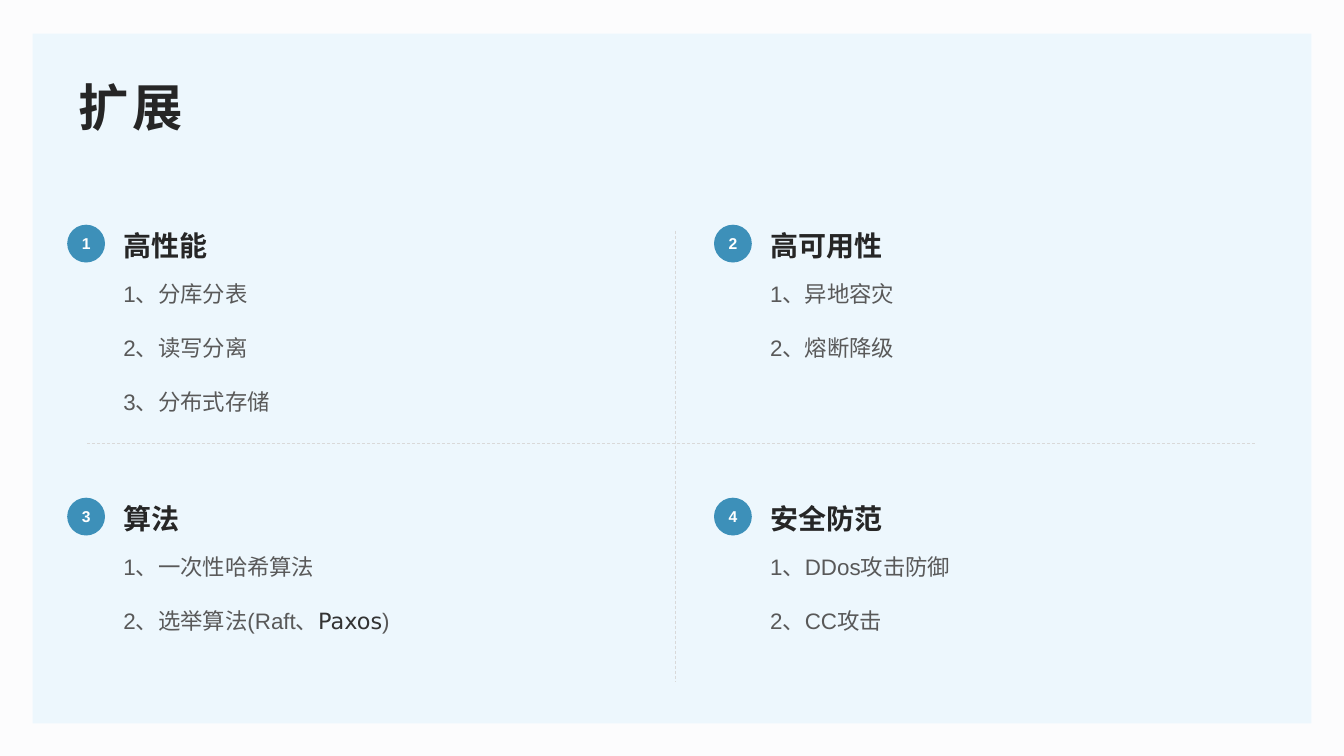
from dataclasses import dataclass

from pptx import Presentation, util as u
from pptx.dml.color import RGBColor
from pptx.enum import dml, shapes, text
from pptx.oxml import ns, xmlchemy as xc


@dataclass(frozen=True)
class Theme:
    page: str = "FCFCFD"
    panel: str = "EDF7FD"
    rule: str = "D9D9D9"
    badge: str = "3D90B9"
    white: str = "FFFFFF"
    dark: str = "262626"
    body: str = "595959"
    term: str = "333333"
    font: str = "Arial"
    mono: str = "DejaVu Sans"
    title_pt: float = 36
    head_pt: float = 20
    body_pt: float = 16
    badge_pt: float = 11.2


@dataclass(frozen=True)
class Topic:
    head: str
    items: tuple[str, ...]


THEME = Theme()
TERM = "Paxos"  # set in its own font
TOPICS = (
    Topic("高性能", ("1、分库分表", "2、读写分离", "3、分布式存储")),
    Topic("高可用性", ("1、异地容灾", "2、熔断降级")),
    Topic("算法", ("1、一次性哈希算法", "2、选举算法(Raft、Paxos)")),
    Topic("安全防范", ("1、DDos攻击防御", "2、CC攻击")),
)

# Grid of topics, in px
LEFT, TOP = 64, 214
STEP_X, STEP_Y = 616, 260
BADGE = 36
INDENT, WIDTH = 44, 491


def px(n: int) -> u.Emu:
    return u.Emu(n * 9525)


def rgb(code: str) -> RGBColor:
    return RGBColor.from_string(code)


def style(run, size: float, color: str, bold: bool = False, font: str = THEME.font) -> None:
    run.font.name = font
    run.font.size = u.Pt(size)
    run.font.bold = bold
    run.font.color.rgb = rgb(color)


def add_shape(slide, kind, x: int, y: int, w: int, h: int, color: str):
    shape = slide.shapes.add_shape(kind, px(x), px(y), px(w), px(h))
    shape.shadow.inherit = False
    shape.fill.solid()
    shape.fill.fore_color.rgb = rgb(color)
    shape.line.fill.background()
    return shape


def add_rule(slide, x1: int, y1: int, x2: int, y2: int) -> None:
    rule = slide.shapes.add_connector(
        shapes.MSO_CONNECTOR.STRAIGHT, px(x1), px(y1), px(x2), px(y2))
    rule.line.color.rgb = rgb(THEME.rule)
    rule.line.width = u.Pt(0.5)
    rule.line.dash_style = dml.MSO_LINE.DASH
    rule._element.spPr.append(xc.OxmlElement("a:effectLst"))


def add_box(slide, x: int, y: int, w: int, h: int):
    frame = slide.shapes.add_textbox(px(x), px(y), px(w), px(h)).text_frame
    frame.word_wrap = True
    return frame


def add_title(slide, words: str) -> None:
    frame = add_box(slide, 64, 64, 1152, 74)
    frame.vertical_anchor = text.MSO_ANCHOR.MIDDLE
    frame.margin_left, frame.margin_right = u.Inches(0.11), u.Inches(0.08)
    frame.margin_top = frame.margin_bottom = u.Inches(0.04)
    frame.text = words
    run = frame.paragraphs[0].runs[0]
    style(run, THEME.title_pt, THEME.dark, True)
    run._r.get_or_add_rPr().set("spc", "300")


def add_items(frame, items: tuple[str, ...]) -> None:
    frame.text = "\n".join(items)
    for para, item in zip(frame.paragraphs, items):
        para.line_spacing = 1.5
        para.space_before = u.Pt(10)
        lead, term, tail = item.partition(TERM)
        para.runs[0].text = lead
        style(para.runs[0], THEME.body_pt, THEME.body)
        if term:
            for part, color, font in ((term, THEME.term, THEME.mono),
                                      (tail, THEME.body, THEME.font)):
                run = para.add_run()
                run.text = part
                style(run, THEME.body_pt, color, font=font)


def add_topic(slide, index: int, topic: Topic) -> None:
    row, col = divmod(index, 2)
    x, y = LEFT + col * STEP_X, TOP + row * STEP_Y

    add_items(add_box(slide, x + INDENT, y + 35, WIDTH, 148), topic.items)

    head = add_box(slide, x + INDENT, y - 1, WIDTH, 42)
    head.text = topic.head
    style(head.paragraphs[0].runs[0], THEME.head_pt, THEME.dark, True)

    badge = add_shape(slide, shapes.MSO_SHAPE.OVAL, x, y, BADGE, BADGE, THEME.badge)
    frame = badge.text_frame
    frame.margin_left = frame.margin_right = 0
    frame.margin_top = frame.margin_bottom = 0
    frame.vertical_anchor = text.MSO_ANCHOR.MIDDLE
    frame.text = str(index + 1)
    para = frame.paragraphs[0]
    para.alignment = text.PP_ALIGN.CENTER
    style(para.runs[0], THEME.badge_pt, THEME.white, True)


def main() -> None:
    deck = Presentation()
    deck.slide_width, deck.slide_height = px(1280), px(720)
    slide = deck.slides.add_slide(deck.slide_layouts[6])

    # Background and panel
    slide.background.fill.solid()
    slide.background.fill.fore_color.rgb = rgb(THEME.page)
    add_shape(slide, shapes.MSO_SHAPE.RECTANGLE, 31, 32, 1218, 657, THEME.panel)

    # Dividing cross
    add_rule(slide, 83, 422, 1197, 422)
    add_rule(slide, 643, 220, 643, 649)

    # Topics and title
    for index, topic in enumerate(TOPICS):
        add_topic(slide, index, topic)
    add_title(slide, "扩展")

    deck.save("out.pptx")


if __name__ == "__main__":
    main()
